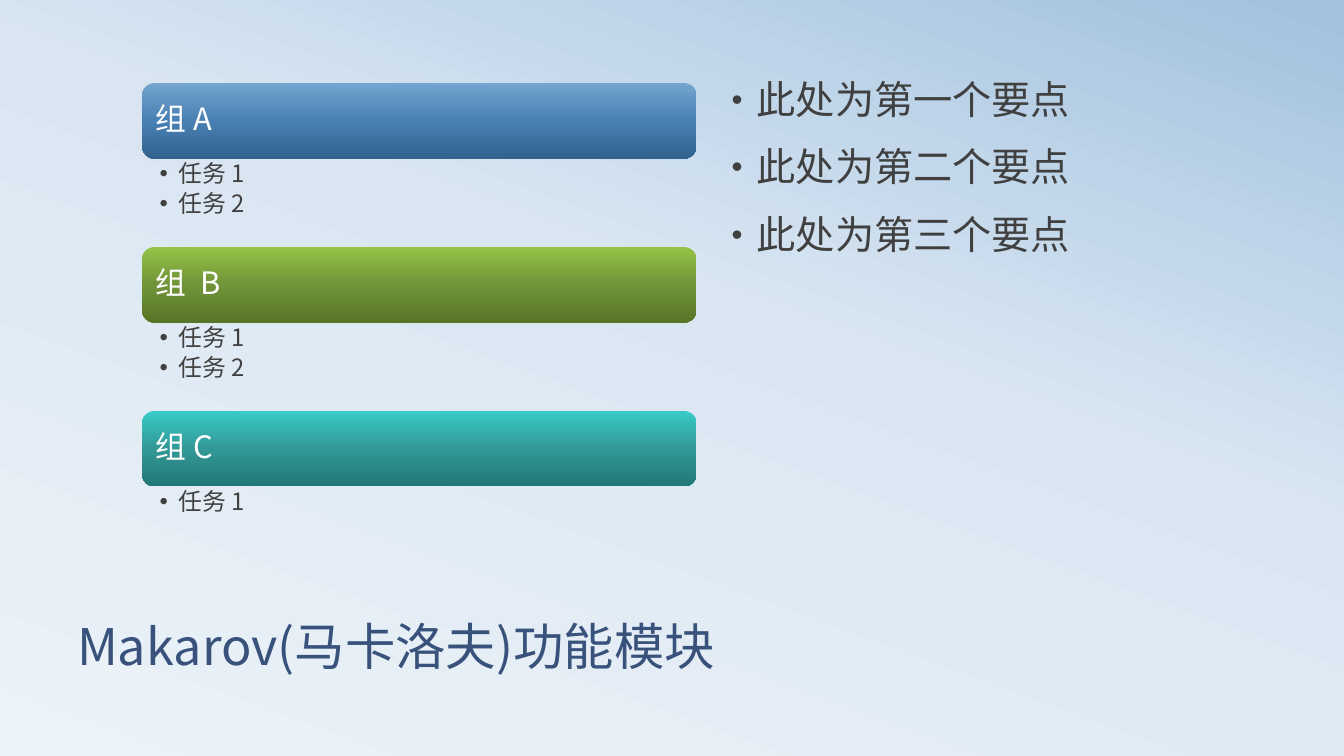
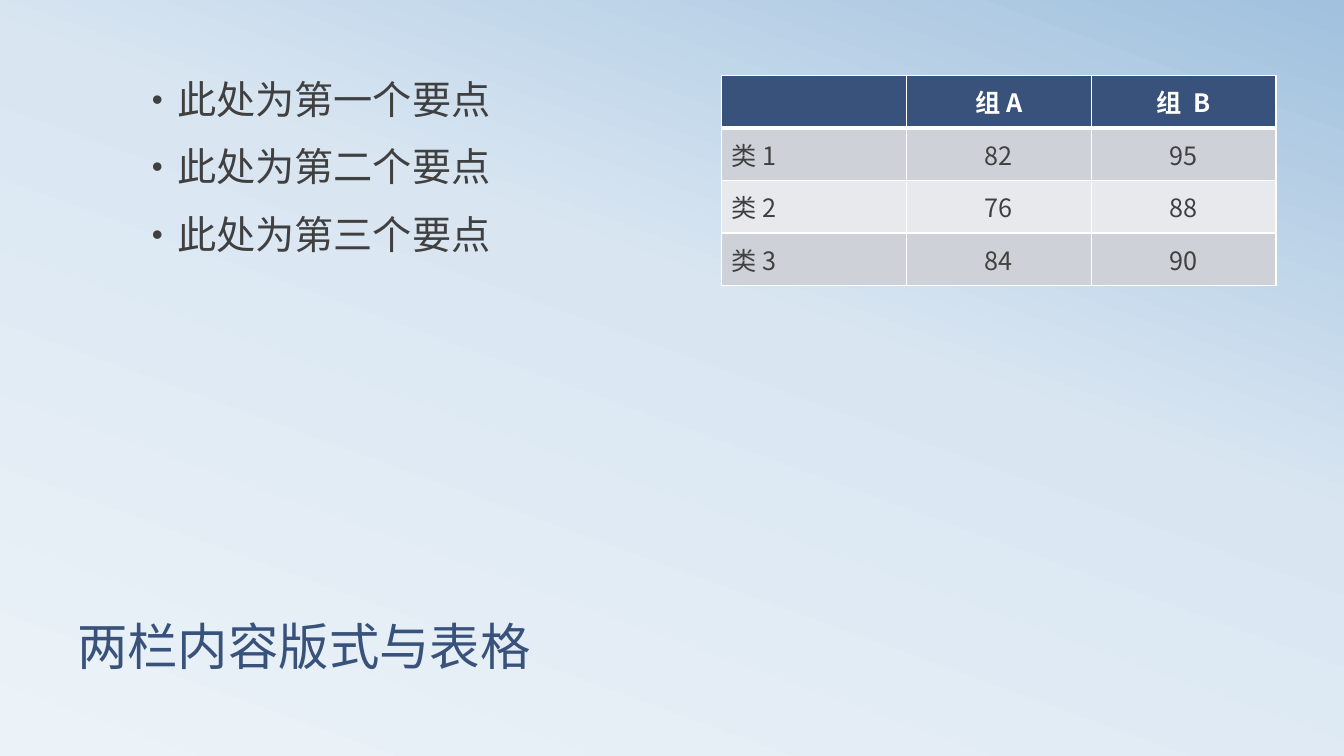
import copy
import lxml.etree
import pptx
import pptx.dml.color
import pptx.enum.shapes
import pptx.enum.text
import pptx.oxml.ns
import pptx.util

Pt = pptx.util.Pt
qn = pptx.oxml.ns.qn
ANCHOR = pptx.enum.text.MSO_ANCHOR
ALIGN = pptx.enum.text.PP_ALIGN

HUES = {
    "navy": "39527B", "text": "404040", "white": "FFFFFF",
    "odd": "CED1D7", "even": "E8E9EC",
    "pale": "ECF3F8", "mist": "D9E6F2", "sky": "A1C1DE",
    "blue1": "75A5D0", "blue2": "4880B3", "blue3": "32628D",
    "green1": "94C347", "green2": "719439", "green3": "577527",
    "teal1": "3ACBC8", "teal2": "329896", "teal3": "217876",
}
FONT = "Noto Sans CJK SC"
LEFT, RIGHT, TOP, WIDE = 101.5, 515.5, 54, 396
POINTS = ["此处为第一个要点", "此处为第二个要点", "此处为第三个要点"]
GROUPS = [
    ("组 A", "blue", ["任务 1", "任务 2"]),
    ("组  B", "green", ["任务 1", "任务 2"]),
    ("组 C", "teal", ["任务 1"]),
]
SCORES = [
    ["", "组 A", "组  B"],
    ["类 1", "82", "95"],
    ["类 2", "76", "88"],
    ["类 3", "84", "90"],
]


class Deck:
    """Holds the shared style and the current slide."""

    def __init__(self):
        self.show = pptx.Presentation()
        self.show.slide_width, self.show.slide_height = Pt(960), Pt(540)
        self.slide = None

    def hue(self, name):
        return pptx.dml.color.RGBColor.from_string(HUES[name])

    def blend(self, fill, node, stops, angle):
        fill.gradient()
        fill.gradient_angle = angle
        marks = node.find(".//" + qn("a:gsLst"))
        marks.append(copy.deepcopy(marks[0]))
        for mark, (place, name) in zip(fill.gradient_stops, stops):
            mark.color.rgb = self.hue(name)
            mark.position = place

    def page(self, title):
        self.slide = self.show.slides.add_slide(self.show.slide_layouts[6])
        self.blend(self.slide.background.fill, self.slide.element,
                   [(0, "pale"), (0.58, "mist"), (1, "sky")], 70)
        frame = self.box(48, 402, 864, 84)
        frame.vertical_anchor = ANCHOR.BOTTOM
        self.line(frame.paragraphs[0], title, 36, "navy", 0.8)

    def box(self, left, top, wide, high):
        box = self.slide.shapes.add_textbox(Pt(left), Pt(top), Pt(wide), Pt(high))
        box.text_frame.word_wrap = True
        return box.text_frame

    def line(self, para, text, size, hue, lead=None, bold=False):
        para.line_spacing = lead
        run = para.add_run()
        run.text = text
        font = run.font
        font.size, font.name, font.bold = Pt(size), FONT, bold
        font.color.rgb = self.hue(hue)
        east = lxml.etree.Element(qn("a:ea"), typeface=FONT)
        run.font._element.find(qn("a:latin")).addnext(east)

    def list(self, frame, items, size, dent, before=0, after=0, scale=100):
        for rank, item in enumerate(items):
            para = frame.add_paragraph() if rank else frame.paragraphs[0]
            self.line(para, item, size, "text", 0.9)
            para.space_before, para.space_after = Pt(before), Pt(after)
            props = para._p.get_or_add_pPr()
            props.set("marL", str(Pt(dent)))
            props.set("indent", str(-Pt(dent)))
            tint = lxml.etree.SubElement(props, qn("a:buClr"))
            lxml.etree.SubElement(tint, qn("a:srgbClr"), val=HUES["text"])
            lxml.etree.SubElement(props, qn("a:buSzPct"), val=str(scale * 1000))
            lxml.etree.SubElement(props, qn("a:buFont"), typeface="Arial")
            lxml.etree.SubElement(props, qn("a:buChar"), char="•")

    def points(self, left):
        self.list(self.box(left, TOP, WIDE, 330), POINTS, 28, 18, before=18, scale=80)

    def group(self, top, name, tone, tasks):
        bar = self.slide.shapes.add_shape(
            pptx.enum.shapes.MSO_SHAPE.ROUNDED_RECTANGLE,
            Pt(LEFT), Pt(top), Pt(WIDE), Pt(54))
        bar.shadow.inherit = False
        bar.line.fill.background()
        stops = [(0, tone + "1"), (0.5, tone + "2"), (1, tone + "3")]
        self.blend(bar.fill, bar.element, stops, 270)
        frame = bar.text_frame
        frame.margin_left = Pt(7)
        frame.vertical_anchor = ANCHOR.MIDDLE
        para = frame.paragraphs[0]
        para.alignment = ALIGN.LEFT
        self.line(para, name, 22, "white", 0.9)
        para.space_after = Pt(7.7)
        frame = self.box(LEFT, top + 54, WIDE, 31.5 * len(tasks))
        frame.margin_left = frame.margin_right = Pt(12.5)
        frame.margin_top = frame.margin_bottom = Pt(2.2)
        self.list(frame, tasks, 17, 13.5, after=3.4)

    def edge(self, cell, side, width):
        props = cell._tc.get_or_add_tcPr()
        line = lxml.etree.SubElement(props, qn("a:ln" + side), w=str(Pt(width)))
        fill = lxml.etree.SubElement(line, qn("a:solidFill"))
        lxml.etree.SubElement(fill, qn("a:srgbClr"), val=HUES["white"])

    def table(self, left, rows):
        high, count = 37.5, len(rows[0])
        grid = self.slide.shapes.add_table(
            len(rows), count, Pt(left), Pt(TOP), Pt(WIDE), Pt(high * len(rows))).table
        for r, row in enumerate(rows):
            head = r == 0
            back = "navy" if head else "odd" if r % 2 else "even"
            for c, text in enumerate(row):
                cell = grid.cell(r, c)
                for side in "LRTB":
                    thick = (r, side) in [(0, "B"), (1, "T")]
                    self.edge(cell, side, 3 if thick else 1)
                cell.fill.solid()
                cell.fill.fore_color.rgb = self.hue(back)
                cell.vertical_anchor = ANCHOR.MIDDLE
                if text:
                    para = cell.text_frame.paragraphs[0]
                    para.alignment = ALIGN.CENTER if c else ALIGN.LEFT
                    self.line(para, text, 18, "white" if head else "text", bold=head)


def main():
    deck = Deck()
    deck.page("Makarov(马卡洛夫)功能模块")
    for rank, group in enumerate(GROUPS):
        deck.group(59.3 + 117.1 * rank, *group)
    deck.points(RIGHT)
    deck.page("两栏内容版式与表格")
    deck.points(LEFT)
    deck.table(RIGHT, SCORES)
    deck.show.save("out.pptx")


if __name__ == "__main__":
    main()
